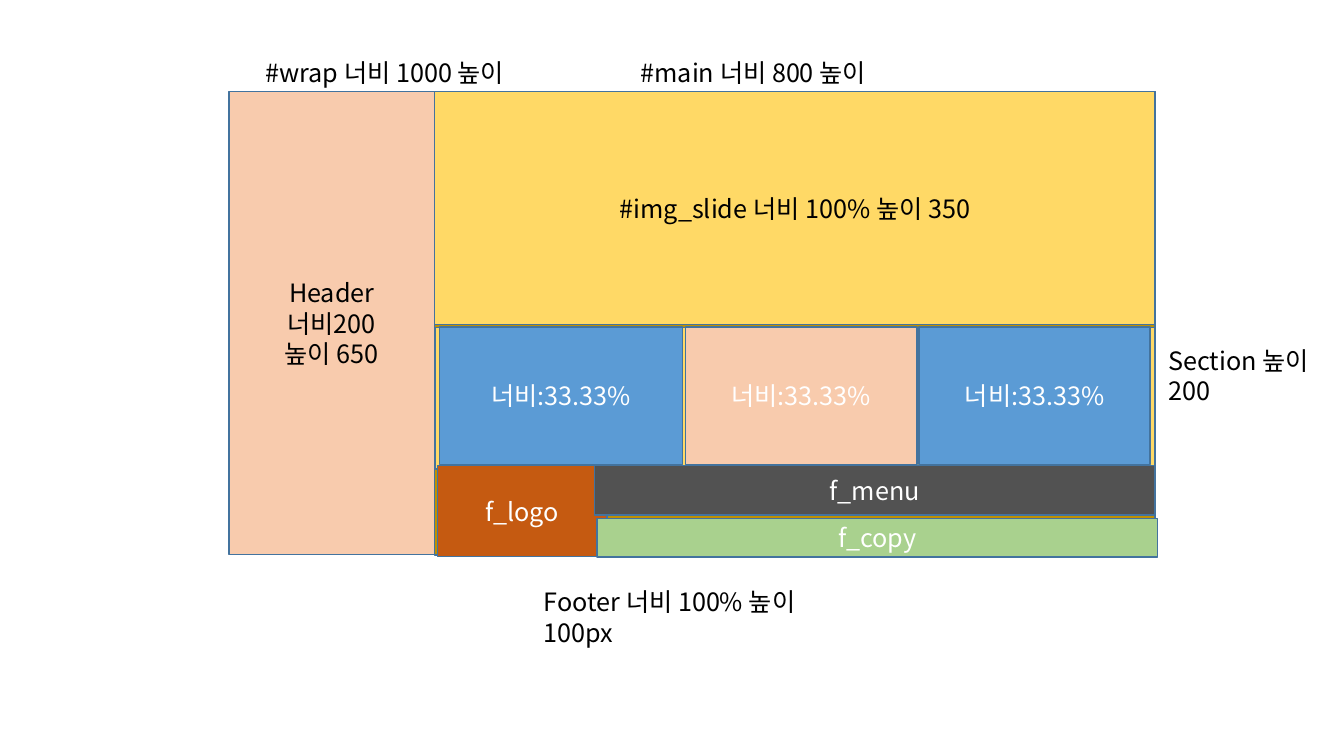
from pptx import Presentation
from pptx.dml.color import RGBColor
from pptx.enum.shapes import MSO_SHAPE
from pptx.enum.text import MSO_ANCHOR, PP_ALIGN
from pptx.util import Pt

FONT = "Noto Sans CJK KR"
BLACK = RGBColor(0x00, 0x00, 0x00)
WHITE = RGBColor(0xFF, 0xFF, 0xFF)
BLUE = RGBColor(0x5B, 0x9B, 0xD5)
OUTLINE = RGBColor(0x43, 0x73, 0x9E)
PEACH = RGBColor(0xF8, 0xCB, 0xAD)
GOLD = RGBColor(0xBF, 0x90, 0x00)
YELLOW = RGBColor(0xFF, 0xD9, 0x66)
RUST = RGBColor(0xC5, 0x5A, 0x11)
GRAY = RGBColor(0x52, 0x52, 0x52)
GREEN = RGBColor(0xA9, 0xD1, 0x8E)


def write(frame, lines, color, align):
    frame.word_wrap = True
    for index, line in enumerate(lines):
        paragraph = frame.paragraphs[0] if index == 0 else frame.add_paragraph()
        paragraph.text = line
        paragraph.alignment = align
        paragraph.font.name = FONT
        paragraph.font.size = Pt(18)
        paragraph.font.color.rgb = color


def add_block(slide, left, top, width, height, fill, lines=(), color=WHITE):
    block = slide.shapes.add_shape(
        MSO_SHAPE.RECTANGLE, Pt(left), Pt(top), Pt(width), Pt(height))
    block.shadow.inherit = False
    block.fill.solid()
    block.fill.fore_color.rgb = fill
    block.line.color.rgb = OUTLINE
    block.line.width = Pt(1)
    block.text_frame.vertical_anchor = MSO_ANCHOR.MIDDLE
    write(block.text_frame, lines, color, PP_ALIGN.CENTER)


def add_label(slide, left, top, width, height, text):
    label = slide.shapes.add_textbox(Pt(left), Pt(top), Pt(width), Pt(height))
    write(label.text_frame, [text], BLACK, PP_ALIGN.LEFT)


def add_header(slide, left, top, width, height):
    add_label(slide, left + 19, top - 28, 234, 29, "#wrap 너비 1000 높이")
    add_block(slide, left, top, width, height, PEACH,
              ["Header", "너비200", "높이 650"], BLACK)


def add_main(slide, left, top, width, height):
    add_label(slide, left + 140, top - 28, 224, 29, "#main 너비 800 높이")
    add_block(slide, left, top, width, height, GOLD)
    add_block(slide, left, top, width, 166.5, YELLOW,
              ["#img_slide 너비 100% 높이 350"], BLACK)


def add_section(slide, left, top, width, height):
    add_block(slide, left, top, width, height, YELLOW)
    # Three columns
    columns = [(3, 173.5, BLUE), (178.5, 165.5, PEACH), (345.5, 165, BLUE)]
    for offset, column_width, fill in columns:
        add_block(slide, left + offset, top - 0.5, column_width, 98.5, fill,
                  ["너비:33.33%"])
    add_label(slide, left + width + 2.5, top + 9, 126, 51, "Section 높이200")


def add_footer(slide, left, top, width, height):
    menu_left = left + 112
    menu_width = width - 112
    add_block(slide, left, top, 121, height, RUST, ["f_logo"])
    add_block(slide, menu_left, top, menu_width, 35.5, GRAY, ["f_menu"])
    add_block(slide, menu_left + 2, top + 38, menu_width, 27.5, GREEN, ["f_copy"])
    add_label(slide, left + 69, top + 83, 213, 51, "Footer 너비 100% 높이 100px")


def main():
    deck = Presentation()
    deck.slide_width, deck.slide_height = Pt(960), Pt(540)
    slide = deck.slides.add_slide(deck.slide_layouts[6])
    add_header(slide, 163.5, 65.5, 147, 330.5)
    add_main(slide, 310.5, 65.5, 514.5, 331)
    add_section(slide, 311, 234, 514, 101)
    add_footer(slide, 312.5, 332.5, 512.5, 65)
    deck.save("out.pptx")


if __name__ == "__main__":
    main()
